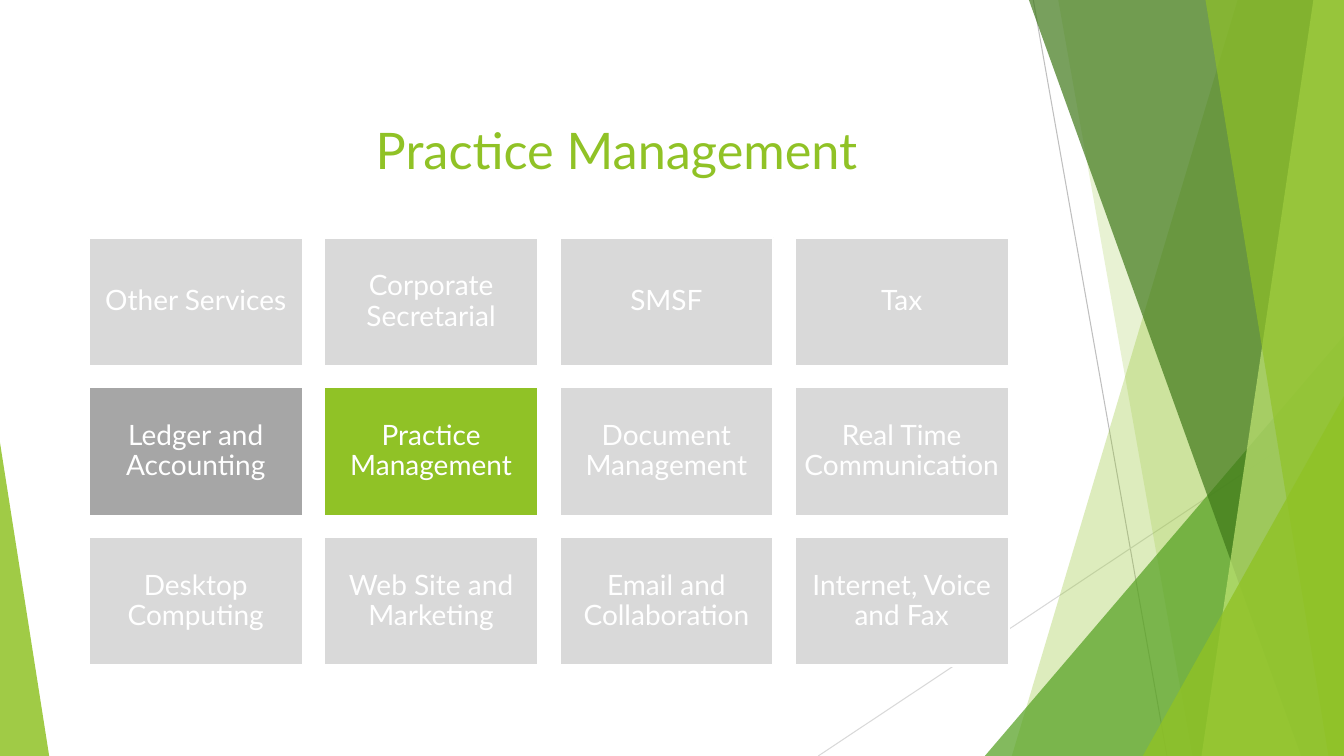
from dataclasses import dataclass

from lxml import etree
from pptx import Presentation
from pptx.dml.color import RGBColor
from pptx.enum.shapes import MSO_CONNECTOR, MSO_SHAPE
from pptx.enum.text import MSO_ANCHOR, PP_ALIGN
from pptx.oxml.ns import qn
from pptx.util import Cm, Pt

STRAIGHT = MSO_CONNECTOR.STRAIGHT
RECT, TRIANGLE = MSO_SHAPE.RECTANGLE, MSO_SHAPE.ISOSCELES_TRIANGLE
MIDDLE, BOTTOM = MSO_ANCHOR.MIDDLE, MSO_ANCHOR.BOTTOM
LEFT, CENTER = PP_ALIGN.LEFT, PP_ALIGN.CENTER


@dataclass(frozen=True)
class Theme:
    font: str = "Lato"
    title_size: float = 36
    tile_size: float = 20
    hairline: float = 0.75
    tile_line: float = 1.5
    white: str = "FFFFFF"
    accent: str = "90C226"
    green: str = "54A021"
    dark_green: str = "3F7819"
    pale_green: str = "C0E474"
    gray: str = "D9D9D9"
    line_gray: str = "BFBFBF"
    dark_gray: str = "A6A6A6"


T = Theme()
SLIDE_W, SLIDE_H = 33.87, 19.05

SERVICES = [
    ["Other Services", "Corporate Secretarial", "SMSF", "Tax"],
    ["Ledger and Accounting", "Practice Management",
     "Document Management", "Real Time Communication"],
    ["Desktop Computing", "Web Site and Marketing",
     "Email and Collaboration", "Internet, Voice and Fax"],
]
HIGHLIGHTS = {"Ledger and Accounting": T.dark_gray,
              "Practice Management": T.accent}


def set_attrs(obj, values):
    for name, value in values.items():
        setattr(obj, name, value)


def paint(sp, color, opacity=100):
    sp.shadow.inherit = False
    sp.fill.solid()
    sp.fill.fore_color.rgb = RGBColor.from_string(color)
    if opacity < 100:
        clr = sp.fill._xPr.find(qn("a:solidFill"))[0]
        etree.SubElement(clr, qn("a:alpha")).set("val", str(opacity * 1000))
    sp.line.fill.background()


def write(sp, text, size, color, frame, para):
    tf = sp.text_frame
    set_attrs(tf, {"word_wrap": True, **frame})
    p = tf.paragraphs[0]
    set_attrs(p, para)
    r = p.add_run()
    r.text = text
    set_attrs(r.font, {"name": T.font, "size": Pt(size)})
    r.font.color.rgb = RGBColor.from_string(color)


def add_hairline(s, x1, y1, x2, y2, color):
    ln = s.shapes.add_connector(STRAIGHT, Cm(x1), Cm(y1), Cm(x2), Cm(y2))
    ln.line.width = Pt(T.hairline)
    ln.line.color.rgb = RGBColor.from_string(color)
    etree.SubElement(ln._element.spPr, qn("a:effectLst"))


def add_panel(s, right, bottom, top_x, bottom_x, color, opacity):
    """Full-height panel with a slanted left side."""
    fb = s.shapes.build_freeform(Cm(top_x), 0, scale=1.0)
    fb.add_line_segments([(Cm(right), 0), (Cm(right), Cm(bottom)),
                          (Cm(bottom_x), Cm(bottom))], close=True)
    paint(fb.convert_to_shape(), color, opacity)


def add_wedge(s, x, bottom, w, h, apex, color, opacity):
    """Right triangle standing on the bottom edge."""
    sp = s.shapes.add_shape(TRIANGLE, Cm(x), Cm(bottom - h), Cm(w), Cm(h))
    sp.adjustments[0] = apex
    paint(sp, color, opacity)


def add_backdrop(s, x, y, w, h):
    right, bottom = x + w, y + h
    add_hairline(s, right - 7.83, y, right - 4.46, bottom, T.line_gray)
    add_hairline(s, right, bottom - 8.81, right - 13.25, bottom, T.gray)

    # Distances from the right edge: panel (top, bottom), wedge (width, height)
    layers = [
        ("panel", 2.68, 8.37, T.accent, 30),
        ("panel", 7.2, 3.82, T.accent, 20),
        ("wedge", 9.05, 10.59, T.green, 72),
        ("panel", 7.94, 1.08, T.dark_green, 70),
        ("panel", 0.77, 3.59, T.pale_green, 70),
        ("panel", 3.49, 0.39, T.accent, 65),
        ("wedge", 5.07, 9.07, T.accent, 80),
    ]
    for kind, a, b, color, opacity in layers:
        if kind == "panel":
            add_panel(s, right, bottom, right - a, right - b, color, opacity)
        else:
            add_wedge(s, right - a, bottom, a, b, 1, color, opacity)

    # Left corner
    add_wedge(s, x, bottom, 1.24, 7.9, 0, T.accent, 85)


def add_title(s, x, y, w, h, text):
    sp = s.shapes.add_textbox(Cm(x), Cm(y), Cm(w), Cm(h))
    write(sp, text, T.title_size, T.accent,
          {"vertical_anchor": BOTTOM}, {"alignment": LEFT})


def add_service_grid(s, x, y, w, h, rows, gap=0.54):
    n_rows, n_cols = len(rows), len(rows[0])
    tile_w = (w - gap * (n_cols - 1)) / n_cols
    tile_h = (h - gap * (n_rows - 1)) / n_rows
    inset = Cm(0.2)
    frame = {"vertical_anchor": MIDDLE, "margin_left": inset,
             "margin_right": inset, "margin_top": inset,
             "margin_bottom": inset}
    para = {"alignment": CENTER, "line_spacing": 0.9}
    for i, row in enumerate(rows):
        for j, name in enumerate(row):
            sp = s.shapes.add_shape(
                RECT, Cm(x + j * (tile_w + gap)), Cm(y + i * (tile_h + gap)),
                Cm(tile_w), Cm(tile_h))
            paint(sp, HIGHLIGHTS.get(name, T.gray))
            sp.line.color.rgb = RGBColor.from_string(T.white)
            sp.line.width = Pt(T.tile_line)
            write(sp, name, T.tile_size, T.white, frame, para)


def main():
    prs = Presentation()
    set_attrs(prs, {"slide_width": Cm(SLIDE_W), "slide_height": Cm(SLIDE_H)})
    s = prs.slides.add_slide(prs.slide_layouts[6])
    add_backdrop(s, 0, 0, SLIDE_W, SLIDE_H)
    add_title(s, 9.22, 2.39, 16.54, 2.26, "Practice Management")
    add_service_grid(s, 2.24, 5.99, 23.18, 10.78, SERVICES)
    prs.save("out.pptx")


if __name__ == "__main__":
    main()
